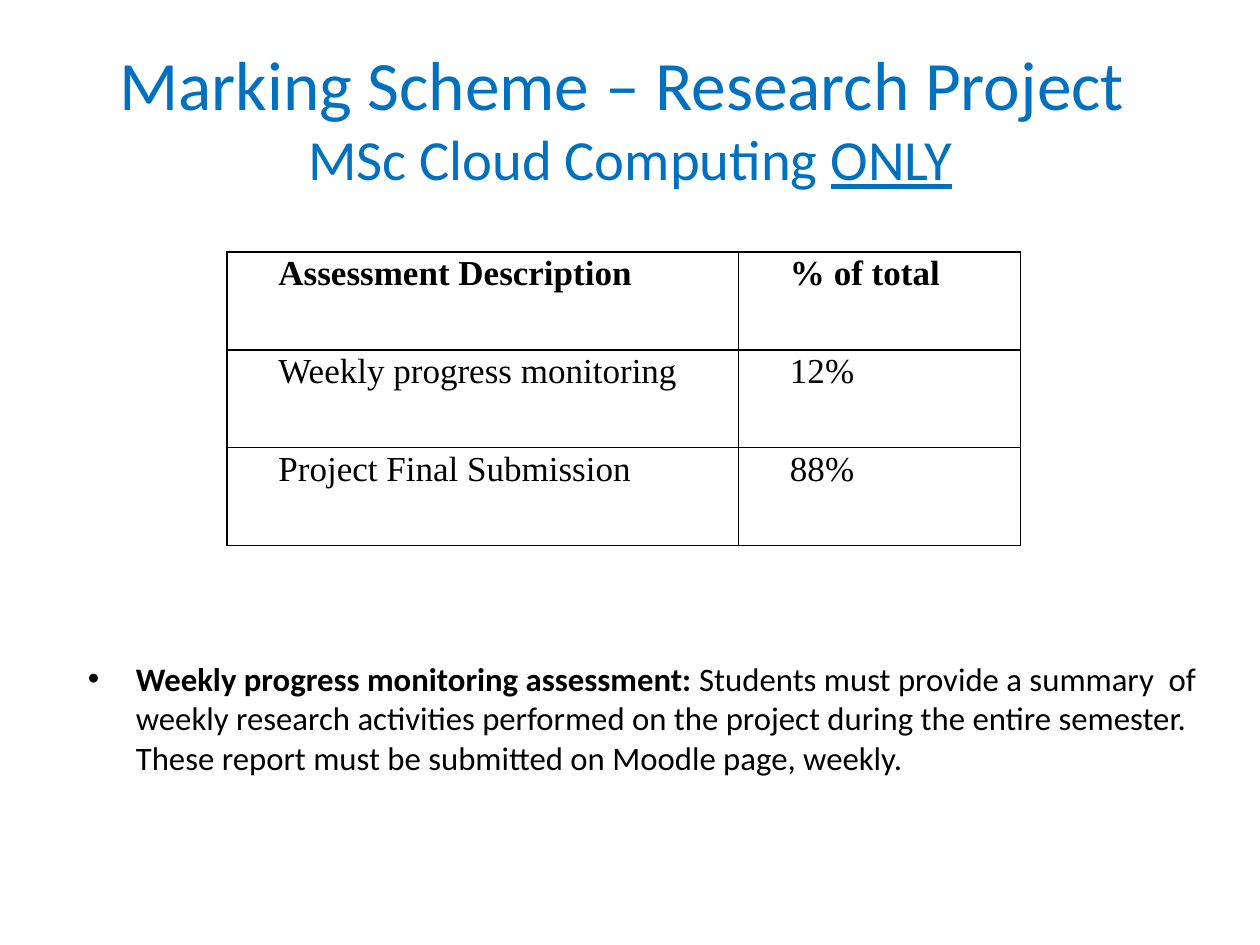
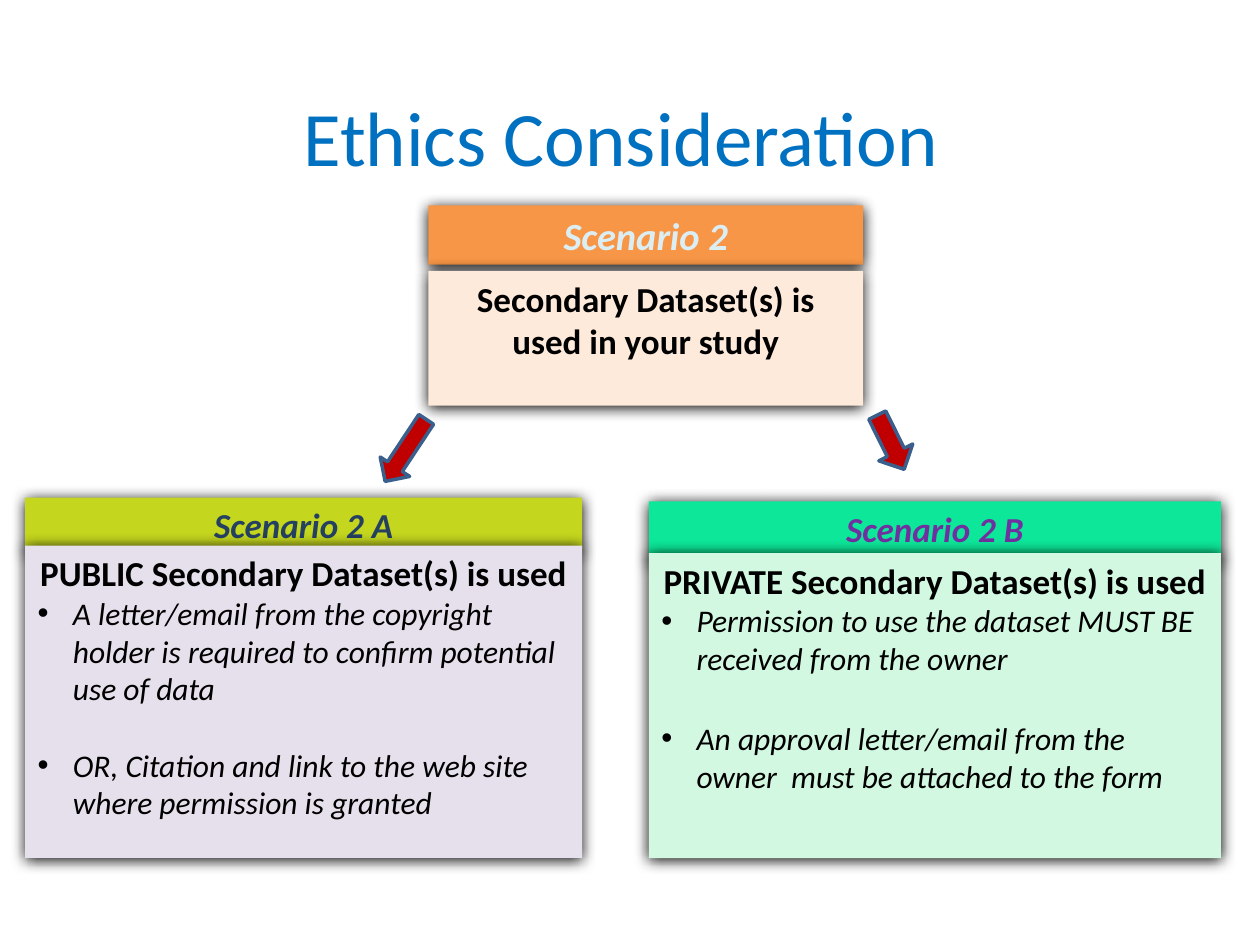
from dataclasses import dataclass

from lxml import etree
from pptx import Presentation
from pptx.dml.color import RGBColor
from pptx.enum.shapes import MSO_SHAPE
from pptx.enum.text import MSO_ANCHOR, PP_ALIGN
from pptx.oxml.ns import qn
from pptx.util import Inches, Pt

RECTANGLE = MSO_SHAPE.RECTANGLE
DOWN_ARROW = MSO_SHAPE.DOWN_ARROW
TOP = MSO_ANCHOR.TOP
MIDDLE = MSO_ANCHOR.MIDDLE
LEFT = PP_ALIGN.LEFT
CENTER = PP_ALIGN.CENTER
JUSTIFY = PP_ALIGN.JUSTIFY

BLACK = RGBColor(0x00, 0x00, 0x00)
TITLE_BLUE = RGBColor(0x00, 0x70, 0xC0)
ORANGE = RGBColor(0xF7, 0x96, 0x46)
PEACH = RGBColor(0xFD, 0xEA, 0xDA)
ICE = RGBColor(0xDB, 0xEE, 0xF4)
LIME = RGBColor(0xC4, 0xD6, 0x1E)
LILAC = RGBColor(0xE6, 0xE0, 0xEC)
NAVY = RGBColor(0x25, 0x40, 0x61)
EMERALD = RGBColor(0x0D, 0xE7, 0x99)
MINT = RGBColor(0xD2, 0xF8, 0xE1)
PURPLE = RGBColor(0x70, 0x30, 0xA0)
ARROW_RED = RGBColor(0xC0, 0x00, 0x00)
ARROW_EDGE = RGBColor(0x3A, 0x5F, 0x8C)

BODY_FONT = "Calibri"
TABLE_FONT = "Times New Roman"


@dataclass(frozen=True)
class Span:
    text: str
    size: float
    color: RGBColor = BLACK
    bold: bool = False
    italic: bool = False
    underline: bool = False
    font: str = BODY_FONT
    break_after: bool = False


@dataclass(frozen=True)
class Para:
    spans: tuple[Span, ...]
    align: PP_ALIGN = CENTER
    bullet_indent: float = 0
    space_before: float = 0


@dataclass(frozen=True)
class Area:
    left: float
    top: float
    width: float
    height: float

    def lengths(self) -> tuple:
        return tuple(Inches(value) for value in (self.left, self.top, self.width, self.height))


@dataclass(frozen=True)
class Panel:
    area: Area
    fill: RGBColor
    paras: tuple[Para, ...]


@dataclass(frozen=True)
class Arrow:
    area: Area
    rotation: float


def set_indent(paragraph, margin: float, first_line: float) -> None:
    properties = paragraph._p.get_or_add_pPr()
    properties.set("marL", str(Inches(margin)))
    properties.set("indent", str(Inches(first_line)))


def add_bullet(paragraph, indent: float) -> None:
    set_indent(paragraph, indent, -indent)
    properties = paragraph._p.get_or_add_pPr()
    etree.SubElement(properties, qn("a:buFont"), typeface="Arial")
    etree.SubElement(properties, qn("a:buChar"), char="•")


def add_span(paragraph, span: Span) -> None:
    run = paragraph.add_run()
    run.text = span.text
    font = run.font
    font.name = span.font
    font.size = Pt(span.size)
    font.bold = span.bold
    font.italic = span.italic
    font.underline = span.underline
    font.color.rgb = span.color
    if span.break_after:
        paragraph.add_line_break()


def write_text(frame, paras: tuple[Para, ...], anchor: MSO_ANCHOR = TOP) -> None:
    frame.word_wrap = True
    frame.vertical_anchor = anchor
    for index, para in enumerate(paras):
        paragraph = frame.add_paragraph() if index else frame.paragraphs[0]
        paragraph.alignment = para.align
        if para.space_before:
            paragraph.space_before = Pt(para.space_before)
        if para.bullet_indent:
            add_bullet(paragraph, para.bullet_indent)
        for span in para.spans:
            add_span(paragraph, span)


def add_text(page, area: Area, paras: tuple[Para, ...], anchor: MSO_ANCHOR = TOP) -> None:
    box = page.shapes.add_textbox(*area.lengths())
    write_text(box.text_frame, paras, anchor)


def add_title(page, area: Area, *spans: Span) -> None:
    add_text(page, area, (Para(spans),), MIDDLE)


def add_filled_shape(page, kind: MSO_SHAPE, area: Area, fill: RGBColor):
    shape = page.shapes.add_shape(kind, *area.lengths())
    shape.shadow.inherit = False
    shape.fill.solid()
    shape.fill.fore_color.rgb = fill
    return shape


def add_soft_shadow(shape) -> None:
    effects = shape._element.spPr.find(qn("a:effectLst"))
    shadow = etree.SubElement(
        effects, qn("a:outerShdw"), blurRad=str(Pt(8.5)), dist=str(Pt(1)),
        dir="5400000", algn="ctr", rotWithShape="0",
    )
    etree.SubElement(shadow, qn("a:srgbClr"), val=str(BLACK))


def add_panel(page, panel: Panel) -> None:
    shape = add_filled_shape(page, RECTANGLE, panel.area, panel.fill)
    shape.line.fill.background()
    add_soft_shadow(shape)
    write_text(shape.text_frame, panel.paras)


def add_arrow(page, arrow: Arrow) -> None:
    shape = add_filled_shape(page, DOWN_ARROW, arrow.area, ARROW_RED)
    shape.rotation = arrow.rotation
    shape.line.color.rgb = ARROW_EDGE
    shape.line.width = Pt(2)


def add_cell_borders(cell) -> None:
    properties = cell._tc.get_or_add_tcPr()
    for side in ("a:lnL", "a:lnR", "a:lnT", "a:lnB"):
        line = etree.SubElement(properties, qn(side), w=str(Pt(1)))
        fill = etree.SubElement(line, qn("a:solidFill"))
        etree.SubElement(fill, qn("a:srgbClr"), val=str(BLACK))


def fill_cell(cell, text: str, bold: bool) -> None:
    add_cell_borders(cell)
    cell.fill.background()
    cell.margin_left = cell.margin_right = Inches(0.09)
    cell.margin_top = Inches(0.01)
    cell.margin_bottom = 0
    paragraph = cell.text_frame.paragraphs[0]
    paragraph.alignment = JUSTIFY
    paragraph.line_spacing = 1.03
    paragraph.space_after = Pt(0.6)
    set_indent(paragraph, 0.33, -0.01)
    add_span(paragraph, Span(text, 20, bold=bold, font=TABLE_FONT))


def add_marks_table(page, area: Area, widths: tuple[float, ...], rows: tuple[tuple[str, ...], ...]) -> None:
    table = page.shapes.add_table(len(rows), len(widths), *area.lengths()).table
    for column, width in zip(table.columns, widths):
        column.width = Inches(width)
    for row_index, texts in enumerate(rows):
        table.rows[row_index].height = Inches(area.height / len(rows))
        for column_index, text in enumerate(texts):
            fill_cell(table.cell(row_index, column_index), text, row_index == 0)


def heading(text: str) -> Para:
    return Para((Span(text, 20, bold=True),))


def scenario(text: str, size: float, color: RGBColor) -> tuple[Para, ...]:
    return (Para((Span(text, size, color, bold=True, italic=True),)),)


def requirement(text: str, space_before: float = 0) -> Para:
    return Para((Span(text, 18, italic=True),), LEFT, 0.28, space_before)


SCENARIO_PANELS = (
    Panel(Area(3.4, 1.63, 3.45, 0.47), ORANGE, scenario("Scenario 2", 22, ICE)),
    Panel(Area(3.4, 2.15, 3.45, 1.07), PEACH, (heading("Secondary Dataset(s) is used in your study"),)),
    Panel(Area(0.2, 3.95, 4.42, 0.44), LIME, scenario("Scenario 2 A", 20, NAVY)),
    Panel(Area(0.2, 4.33, 4.42, 2.48), LILAC, (
        heading("PUBLIC Secondary Dataset(s) is used"),
        requirement("A letter/email from the copyright holder is required to confirm potential use of data"),
        requirement("OR, Citation and link to the web site where permission is granted", 22),
    )),
    Panel(Area(5.15, 3.98, 4.54, 0.48), EMERALD, scenario("Scenario 2 B", 20, PURPLE)),
    Panel(Area(5.15, 4.39, 4.54, 2.42), MINT, (
        heading("PRIVATE Secondary Dataset(s) is used"),
        requirement("Permission to use the dataset MUST BE received from the owner"),
        requirement("An approval letter/email from the owner  must be attached to the form", 24),
    )),
)

SCENARIO_ARROWS = (
    Arrow(Area(3.08, 3.28, 0.28, 0.59), 33.5),
    Arrow(Area(6.92, 3.27, 0.3, 0.48), 333.6),
)

MARKS = (
    ("Assessment Description", "% of total"),
    ("Weekly progress monitoring", "12%"),
    ("Project Final Submission", "88%"),
)


def build_marking_page(page) -> None:
    add_marks_table(page, Area(1.8, 2, 6.3, 2.33), (4.06, 2.24), MARKS)
    add_text(page, Area(0.6, 5.18, 9, 0.94), (Para((
        Span("Weekly progress monitoring assessment: ", 18.7, bold=True),
        Span(
            "Students must provide a summary  of weekly research activities performed on the project "
            "during the entire semester. These report must be submitted on Moodle page, weekly.",
            18.7,
        ),
    ), LEFT, 0.38),))
    add_title(
        page, Area(0.5, 0.3, 9, 1.25),
        Span("Marking Scheme – Research Project ", 39.6, TITLE_BLUE, break_after=True),
        Span("MSc Cloud Computing ", 32.4, TITLE_BLUE),
        Span("ONLY", 32.4, TITLE_BLUE, underline=True),
    )


def build_ethics_page(page) -> None:
    for panel in SCENARIO_PANELS:
        add_panel(page, panel)
    for arrow in SCENARIO_ARROWS:
        add_arrow(page, arrow)
    add_title(page, Area(0.43, 0.58, 9, 0.99), Span("Ethics Consideration", 44, TITLE_BLUE))


def main() -> None:
    deck = Presentation()
    deck.slide_width = Inches(10)
    deck.slide_height = Inches(7.5)
    blank = deck.slide_layouts[6]
    for build in (build_marking_page, build_ethics_page):
        build(deck.slides.add_slide(blank))
    deck.save("out.pptx")


if __name__ == "__main__":
    main()
